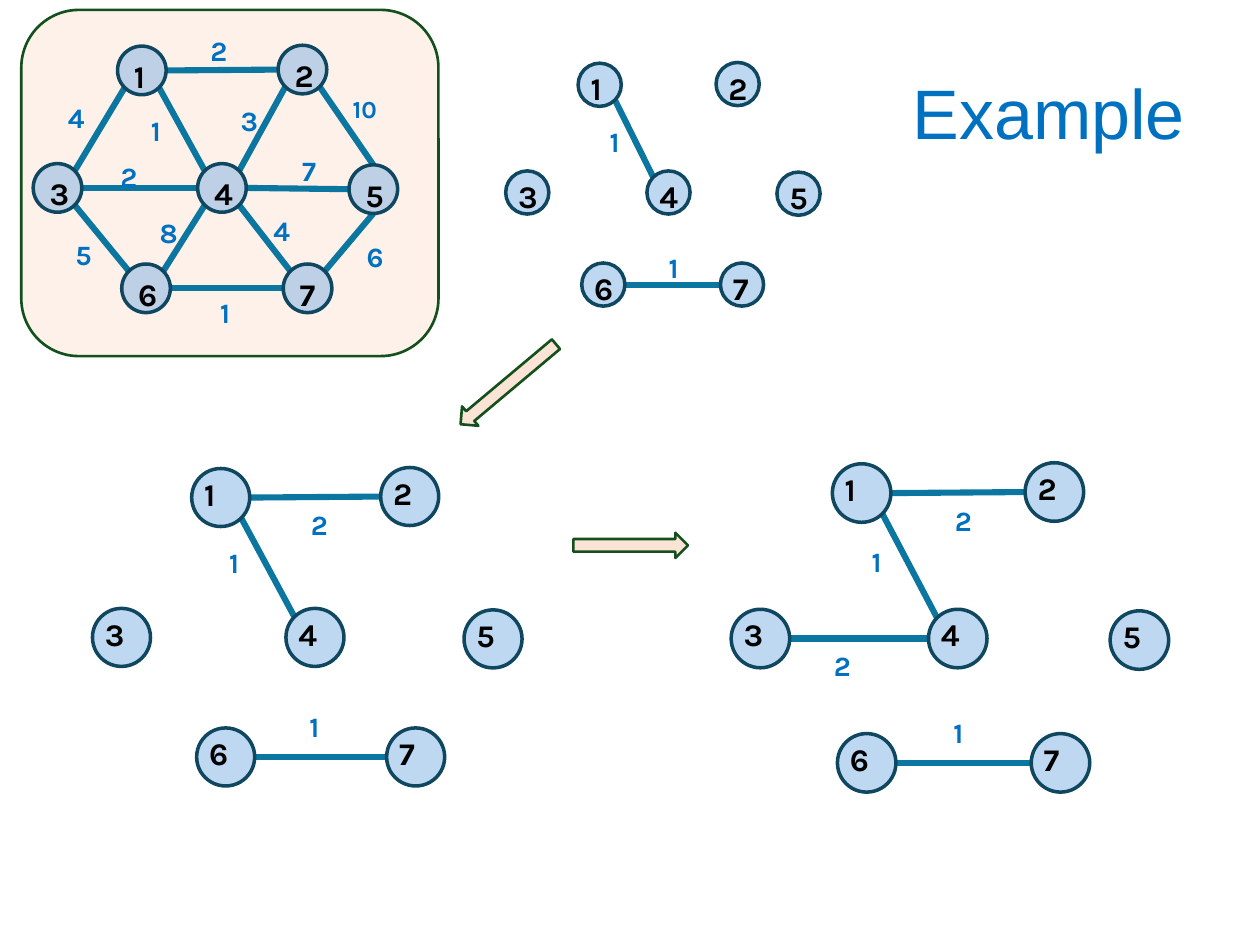
import math

import lxml.etree
import pptx
import pptx.dml.color
import pptx.enum.shapes
import pptx.enum.text
import pptx.oxml.ns
import pptx.util

Cm, Pt = pptx.util.Cm, pptx.util.Pt
SHAPE = pptx.enum.shapes.MSO_SHAPE
ALIGN = pptx.enum.text.PP_ALIGN
ANCHOR = pptx.enum.text.MSO_ANCHOR

THEME = {
    "title": "0070C0", "weight": "0070C0", "number": "000000",
    "node": "71AAE0", "node_line": "104760", "edge": "0B76A0",
    "accent": "FBE3D6", "accent_line": "13501B",
    "title_font": "Arial", "graph_font": "Karla",
    "title_size": 40, "number_size": 18, "weight_size": 16, "long_weight_size": 14,
}

# Content, all lengths in centimetres
TITLE = ("Example", (16.36, 0.76, 7.77, 3.18))
PANEL = (0.43, 0.2, 8.41, 6.98)
STEP_ARROWS = [((11.56, 10.74, 2.31, 0.51), 0), ((8.99, 7.49, 2.51, 0.51), 140)]

# Node centres relative to node 1, shared by all graphs
NODES = {1: (0, 0), 2: (3.81, -0.02), 3: (-2, 2.82), 4: (1.9, 2.82),
         5: (5.49, 2.85), 6: (0.1, 5.23), 7: (3.93, 5.23)}

# Compass points at which each edge leaves and enters its nodes
EDGE_SITES = {
    (1, 2): ("E", "W"), (1, 3): ("SW", "NE"), (1, 4): ("SE", "NW"),
    (2, 4): ("SW", "NE"), (2, 5): ("SE", "N"), (3, 4): ("E", "W"),
    (4, 5): ("E", "W"), (3, 6): ("SE", "NW"), (4, 6): ("SW", "NE"),
    (4, 7): ("SE", "NW"), (5, 7): ("S", "NE"), (6, 7): ("E", "W"),
}
COMPASS = ["E", "SE", "S", "SW", "W", "NW", "N", "NE"]

# Edges: (nodes, weight, position of the weight)
GRAPHS = [
    {"origin": (2.86, 1.42), "scale": (0.85, 0.84), "diameter": 0.98,
     "nudge": (0.08, 0.09), "weight_box": (0.86, 0.76),
     "edges": [((1, 2), "2", (3.99, 0.56)), ((1, 3), "4", (1.12, 1.91)),
               ((1, 4), "1", (2.79, 2.16)), ((2, 4), "3", (4.6, 1.96)),
               ((2, 5), "10", (6.86, 1.78)), ((3, 4), "2", (2.18, 3.1)),
               ((4, 5), "7", (5.84, 2.97)), ((3, 6), "5", (1.27, 4.67)),
               ((4, 6), "8", (2.97, 4.22)), ((4, 7), "4", (5.26, 4.19)),
               ((5, 7), "6", (7.14, 4.7)), ((6, 7), "1", (4.19, 5.84))]},
    {"origin": (12.09, 1.71), "scale": (0.73, 0.77), "diameter": 0.87,
     "nudge": (0, 0), "weight_box": (0.74, 0.71),
     "edges": [((1, 4), "1", (12.04, 2.39)), ((6, 7), "1", (13.23, 4.93))]},
    {"origin": (4.45, 10.03), "scale": (1, 1), "diameter": 1.17,
     "nudge": (0, 0), "weight_box": (1.02, 0.91),
     "edges": [((1, 4), "1", (4.37, 10.87)), ((6, 7), "1", (5.99, 14.17)),
               ((1, 2), "2", (6.02, 10.11))]},
    {"origin": (17.37, 9.94), "scale": (1.02, 1.04), "diameter": 1.18,
     "nudge": (0, 0), "weight_box": (1.02, 0.97),
     "edges": [((1, 4), "1", (17.32, 10.85)), ((6, 7), "1", (18.97, 14.3)),
               ((1, 2), "2", (19, 10.03)), ((3, 4), "2", (16.56, 12.95))]},
]


def rgb(name):
    return pptx.dml.color.RGBColor.from_string(THEME[name])


def add_text(slide, text, box, *, size, color, font="graph_font", bold=True,
             align=ALIGN.LEFT, anchor=ANCHOR.TOP, after=6, spacing=1.0):
    frame = slide.shapes.add_textbox(*map(Cm, box)).text_frame
    frame.word_wrap = True
    frame.vertical_anchor = anchor
    paragraph = frame.paragraphs[0]
    paragraph.alignment = align
    paragraph.space_after = Pt(after)
    paragraph.line_spacing = spacing
    run = paragraph.add_run()
    run.text = text
    run.font.name = THEME[font]
    run.font.size = Pt(THEME[size])
    run.font.bold = bold
    run.font.color.rgb = rgb(color)


def add_figure(slide, kind, box, fill, line, width, opacity=100, rotation=0):
    figure = slide.shapes.add_shape(kind, *map(Cm, box))
    figure.shadow.inherit = False
    figure.rotation = rotation
    figure.fill.solid()
    figure.fill.fore_color.rgb = rgb(fill)
    figure.line.color.rgb = rgb(line)
    figure.line.width = Pt(width)
    if opacity < 100:
        ns = pptx.oxml.ns.qn
        tone = figure.fill._xPr.find(ns("a:solidFill")).find(ns("a:srgbClr"))
        lxml.etree.SubElement(tone, ns("a:alpha")).set("val", str(opacity * 1000))


def add_edge(slide, start, end):
    edge = slide.shapes.add_connector(
        pptx.enum.shapes.MSO_CONNECTOR.STRAIGHT, *map(Cm, start + end))
    edge.line.color.rgb = rgb("edge")
    edge.line.width = Pt(3.5)
    lxml.etree.SubElement(edge._element.spPr, pptx.oxml.ns.qn("a:effectLst"))


def rim_point(center, radius, site):
    angle = math.radians(45 * COMPASS.index(site))
    return (center[0] + radius * math.cos(angle), center[1] + radius * math.sin(angle))


def add_graph(slide, graph):
    diameter = graph["diameter"]
    (left, top), (scale_x, scale_y) = graph["origin"], graph["scale"]
    centers = {number: (left + x * scale_x, top + y * scale_y)
               for number, (x, y) in NODES.items()}

    # Edges
    for ends, _, _ in graph["edges"]:
        start, end = (rim_point(centers[number], diameter / 2, site)
                      for number, site in zip(ends, EDGE_SITES[ends]))
        add_edge(slide, start, end)

    # Numbered nodes
    for number, (x, y) in centers.items():
        corner = (x - diameter / 2, y - diameter / 2)
        add_figure(slide, SHAPE.OVAL, corner + (diameter, diameter),
                   "node", "node_line", 2, opacity=45)
        number_box = (corner[0] + graph["nudge"][0], corner[1] + graph["nudge"][1],
                      diameter, diameter * 0.7)
        add_text(slide, str(number), number_box, size="number_size", color="number")

    # Weights
    width, height = graph["weight_box"]
    for _, weight, place in graph["edges"]:
        extra = 0.43 * (len(weight) - 1)
        add_text(slide, weight, place + (width + extra, height), color="weight",
                 size="long_weight_size" if extra else "weight_size")


def main():
    deck = pptx.Presentation()
    deck.slide_width, deck.slide_height = Cm(25.4), Cm(19.05)
    slide = deck.slides.add_slide(deck.slide_layouts[6])

    # Title
    title, title_box = TITLE
    add_text(slide, title, title_box, size="title_size", color="title",
             font="title_font", bold=False, align=ALIGN.RIGHT,
             anchor=ANCHOR.MIDDLE, after=0, spacing=0.9)

    # Panel behind the starting graph
    add_figure(slide, SHAPE.ROUNDED_RECTANGLE, PANEL, "accent", "accent_line", 1.5,
               opacity=49)

    # Arrows between the steps
    for box, rotation in STEP_ARROWS:
        add_figure(slide, SHAPE.RIGHT_ARROW, box, "accent", "accent_line", 1.5,
                   rotation=rotation)

    for graph in GRAPHS:
        add_graph(slide, graph)

    deck.save("out.pptx")


if __name__ == "__main__":
    main()
